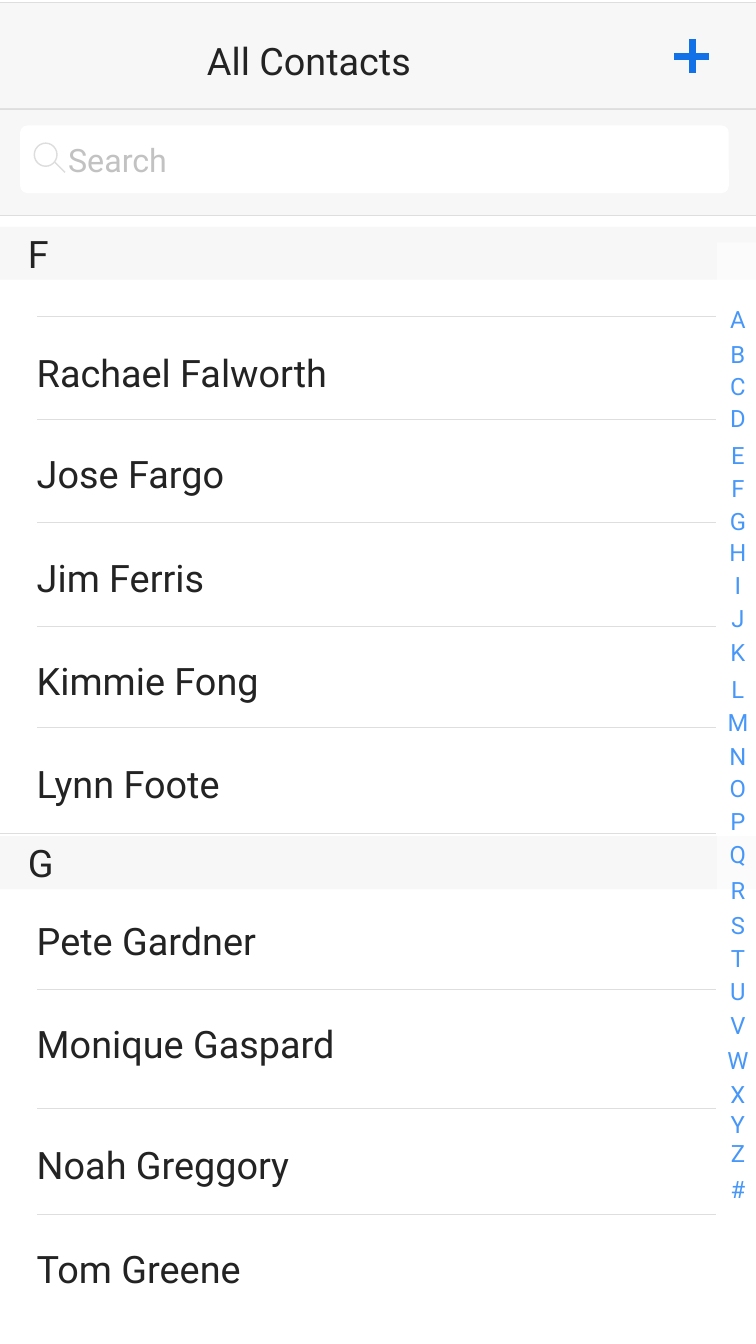
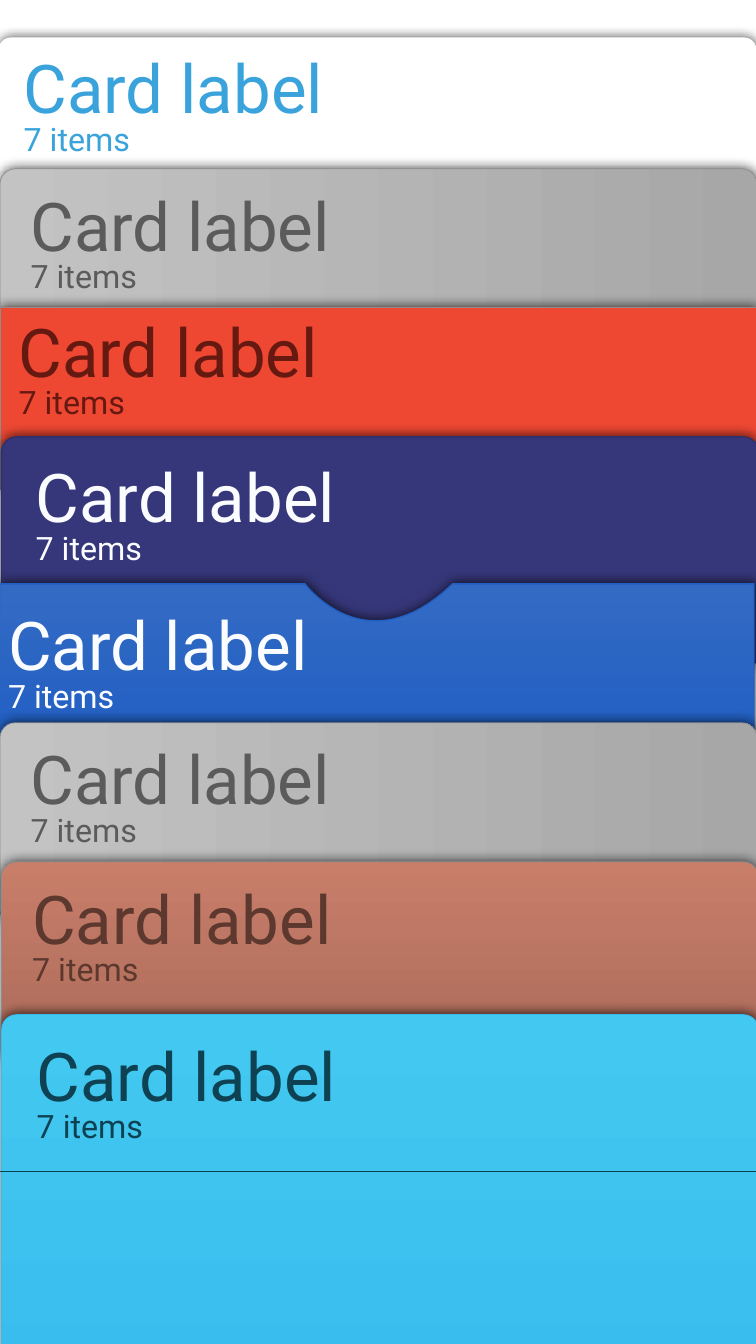
from lxml.etree import SubElement
from pptx import Presentation
from pptx.dml.color import RGBColor
from pptx.enum.shapes import MSO_CONNECTOR, MSO_SHAPE
from pptx.enum.text import MSO_ANCHOR, MSO_AUTO_SIZE, PP_ALIGN
from pptx.oxml.ns import qn
from pptx.util import Pt

INK, BAND, RULE, WHITE = "232323", "F7F7F7", "DEDEDE", "FFFFFF"
INDEX_BLUE, PLUS_BLUE = "4797F9", "1371E8"
HINT, LENS = "C2C2C2", "DDDDDD"
GREY_CARD = ("C3C3C3", "A7A7A7", 0)
CARD_WIDTH = 1081.4


def rgb(value):
    return RGBColor.from_string(value)


class Page:
    """Draws on the current slide in one shared style; lengths are in points."""

    font = "Roboto"

    def __init__(self, prs):
        self.prs = prs
        self.s = None

    def new(self):
        self.s = self.prs.slides.add_slide(self.prs.slide_layouts[6])

    def style(self, sp, fill=None, line=None, width=1.0):
        """Fill is None, a colour, or (first, last, counter-clockwise angle)."""
        if fill is None:
            sp.fill.background()
        elif isinstance(fill, tuple):
            sp.fill.gradient()
            sp.fill.gradient_angle = fill[2]
            for stop, color in zip(sp.fill.gradient_stops, fill):
                stop.color.rgb = rgb(color)
        else:
            sp.fill.solid()
            sp.fill.fore_color.rgb = rgb(fill)
        if line:
            sp.line.color.rgb = rgb(line)
            sp.line.width = Pt(width)
        else:
            sp.line.fill.background()
        sp.shadow.inherit = False
        return sp

    def shape(self, kind, x, y, w, h, fill=None, line=None, width=1.0, adj=None):
        sp = self.s.shapes.add_shape(kind, Pt(x), Pt(y), Pt(w), Pt(h))
        if adj is not None:
            sp.adjustments[0] = adj
        return self.style(sp, fill, line, width)

    def rect(self, *box, **look):
        return self.shape(MSO_SHAPE.RECTANGLE, *box, **look)

    def freeform(self, points, **look):
        (x, y), *rest = [(Pt(px), Pt(py)) for px, py in points]
        builder = self.s.shapes.build_freeform(x, y)
        builder.add_line_segments(rest, close=True)
        return self.style(builder.convert_to_shape(), **look)

    def line(self, x1, y1, x2, y2, color=RULE, width=1.0):
        cn = self.s.shapes.add_connector(
            MSO_CONNECTOR.STRAIGHT, Pt(x1), Pt(y1), Pt(x2), Pt(y2))
        cn.line.color.rgb = rgb(color)
        cn.line.width = Pt(width)
        SubElement(cn._element.spPr, qn("a:effectLst"))

    def add_text(self, sp, lines, color, inset=0.0, left=None, spacing=None,
                 anchor=MSO_ANCHOR.MIDDLE, align=PP_ALIGN.LEFT, wrap=True):
        """Put (text, size) lines into a shape; left overrides the left inset."""
        tf = sp.text_frame
        tf.word_wrap = wrap
        tf.vertical_anchor = anchor
        tf.margin_top = tf.margin_right = tf.margin_bottom = Pt(inset)
        tf.margin_left = Pt(inset if left is None else left)
        for i, (text, size) in enumerate(lines):
            p = tf.add_paragraph() if i else tf.paragraphs[0]
            p.alignment = align
            if spacing:
                p.line_spacing = spacing
            r = p.add_run()
            r.text = text
            r.font.name = self.font
            r.font.size = Pt(size)
            r.font.color.rgb = rgb(color)

    def label(self, x, y, w, h, text, size, color, **layout):
        sp = self.s.shapes.add_textbox(Pt(x), Pt(y), Pt(w), Pt(h))
        self.add_text(sp, [(text, size)], color, **layout)
        return sp

    def fade(self, sp, percent):
        color = sp._element.spPr.find(qn("a:solidFill"))[0]
        SubElement(color, qn("a:alpha"), val=str(percent * 1000))

    def cast_shadow(self, sp):
        """Soft dark edge above a card."""
        effects = sp._element.spPr.find(qn("a:effectLst"))
        shadow = SubElement(
            effects, qn("a:outerShdw"), blurRad=str(Pt(17)), dist=str(Pt(2)),
            dir=str(270 * 60000), algn="ctr", rotWithShape="0")
        color = SubElement(shadow, qn("a:srgbClr"), val="000000")
        SubElement(color, qn("a:alpha"), val="67000")

    def card_text(self, sp, color, inset, anchor=MSO_ANCHOR.TOP):
        self.cast_shadow(sp)
        self.add_text(sp, [("Card label", 96), ("7 items", 46)], color,
                      inset=inset, spacing=0.8, anchor=anchor)

    def card(self, x, y, h, adj, fill, line, width, color, inset):
        sp = self.shape(MSO_SHAPE.ROUNDED_RECTANGLE, x, y, CARD_WIDTH, h,
                        fill=fill, line=line, width=width, adj=adj)
        self.card_text(sp, color, inset)


def bezier(p0, p1, p2, p3, steps=32):
    """Points along a cubic curve, both ends included."""
    points = []
    for i in range(steps + 1):
        t = i / steps
        u = 1 - t
        weights = (u ** 3, 3 * u * u * t, 3 * u * t * t, t ** 3)
        points.append(tuple(
            sum(k * p[axis] for k, p in zip(weights, (p0, p1, p2, p3)))
            for axis in (0, 1)))
    return points


def contacts(page):
    page.new()
    for letter, y in (("F", 324), ("G", 1194.5)):
        band = page.rect(0, y, CARD_WIDTH, 75.6, fill=BAND)
        page.add_text(band, [(letter, 54)], INK, left=40)

    header, search_bar = [
        page.rect(-1.4, y, CARD_WIDTH, 151.9, fill=BAND, line=RULE)
        for y in (3.6, 155.5)]
    page.add_text(header, [("All Contacts", 54)], INK, inset=30, left=297, spacing=1.2)
    page.line(988.6, 56.2, 988.6, 104.4, PLUS_BLUE, 10)
    page.line(963.4, 80.6, 1012.3, 80.6, PLUS_BLUE, 10)

    field = page.shape(MSO_SHAPE.ROUNDED_RECTANGLE, 28.8, 179.3, 1012.3, 96.5,
                       fill=WHITE, adj=0.105)
    page.add_text(field, [("Search", 46)], HINT, inset=8.6, left=65.6)
    page.shape(MSO_SHAPE.OVAL, 49, 204.5, 32.4, 33, line=LENS, width=2)
    page.line(78.5, 231.8, 92.9, 246.2, LENS, 2)

    for y in (452.2, 599, 745.9, 894.2, 1039, 1413.4, 1584, 1734.5):
        page.line(53.3, y, 1022.4, y)
    page.line(-2.2, 1190.9, 1022.4, 1190.9)

    names = [
        ("Rachael Falworth", 485.3, 457), ("Jose Fargo", 630, 300),
        ("Jim Ferris", 779, 265), ("Kimmie Fong", 925.2, 346),
        ("Lynn Foote", 1073.5, 297), ("Pete Gardner", 1296.7, 355),
        ("Monique Gaspard", 1445, 469), ("Noah Greggory", 1617.1, 407),
        ("Tom Greene", 1765.4, 324),
    ]
    for name, y, w in names:
        sp = page.label(47.5, y, w, 79.2, name, 54, INK,
                        inset=5, spacing=1.2, wrap=False)
        sp.text_frame.auto_size = MSO_AUTO_SIZE.SHAPE_TO_FIT_TEXT

    strip = page.rect(1023.8, 346.3, 59, 1497.6, fill=WHITE)
    page.fade(strip, 50)
    index_tops = (
        425.5, 474.5, 521.3, 565.9, 619.9, 666.7, 713.5, 758.2, 805,
        851.8, 901.4, 953.3, 1000.1, 1049, 1095.8, 1142.6, 1189.4, 1241.3,
        1291, 1337.8, 1384.6, 1433.5, 1483.2, 1532.2, 1574.6, 1616.4, 1668.2)
    for letter, y in zip("ABCDEFGHIJKLMNOPQRSTUVWXYZ#", index_tops):
        page.label(1035.4, y, 37.4, 61.2, letter, 34, INDEX_BLUE,
                   align=PP_ALIGN.CENTER)


def cards(page):
    page.new()
    # x, top, height, corner, fill, line, line width, text colour, inset
    page.card(-1.4, 54, 261.4, 0.065, WHITE, WHITE, 1, "3AA3DB", 30.2)
    page.card(0, 241.2, 288.7, 0.075, GREY_CARD, "8D8D8D", 1, "5B5B5C", 37.4)
    page.card(0, 438.5, 259.9, 0, "EE4832", "8D8D8D", 1, "651910", 26.6)
    page.card(2.2, 624.2, 330.5, 0.065, "36377A", "2F306B", 2, "FBFCFF", 42.5)

    left, notch_start, notch_end, right = -2.2, 435.6, 646.6, 1077.1
    top, bottom = 834, 1070.6
    notch = bezier((notch_start, top), (notch_start, top),
                   (523.4, 953.3), (notch_end, top))
    notched = page.freeform(
        [(-0.7, top), *notch, (right, top), (right, bottom), (left, bottom)],
        fill=("336AC4", "215FC2", 270), line="215FC2", width=2)
    page.card_text(notched, "FBFCFF", 13.7, MSO_ANCHOR.MIDDLE)

    page.card(0, 1032.5, 288.7, 0.075, GREY_CARD, "8D8D8D", 1, "5B5B5C", 37.4)
    page.card(2.2, 1231.2, 288.7, 0.075, ("C87E69", "AA6A5A", 270),
              "8D8D8D", 1, "5D382E", 37.4)
    page.card(2.2, 1449.4, 617, 0.035, ("43C8F1", "36BBED", 270),
              "36BBED", 1, "0E4253", 43.9)
    page.line(0.7, 1674, 1080.7, 1674, "0D4253")


def main():
    prs = Presentation()
    prs.slide_width, prs.slide_height = Pt(1080), Pt(1920)
    page = Page(prs)
    contacts(page)
    cards(page)
    prs.save("out.pptx")


if __name__ == "__main__":
    main()
